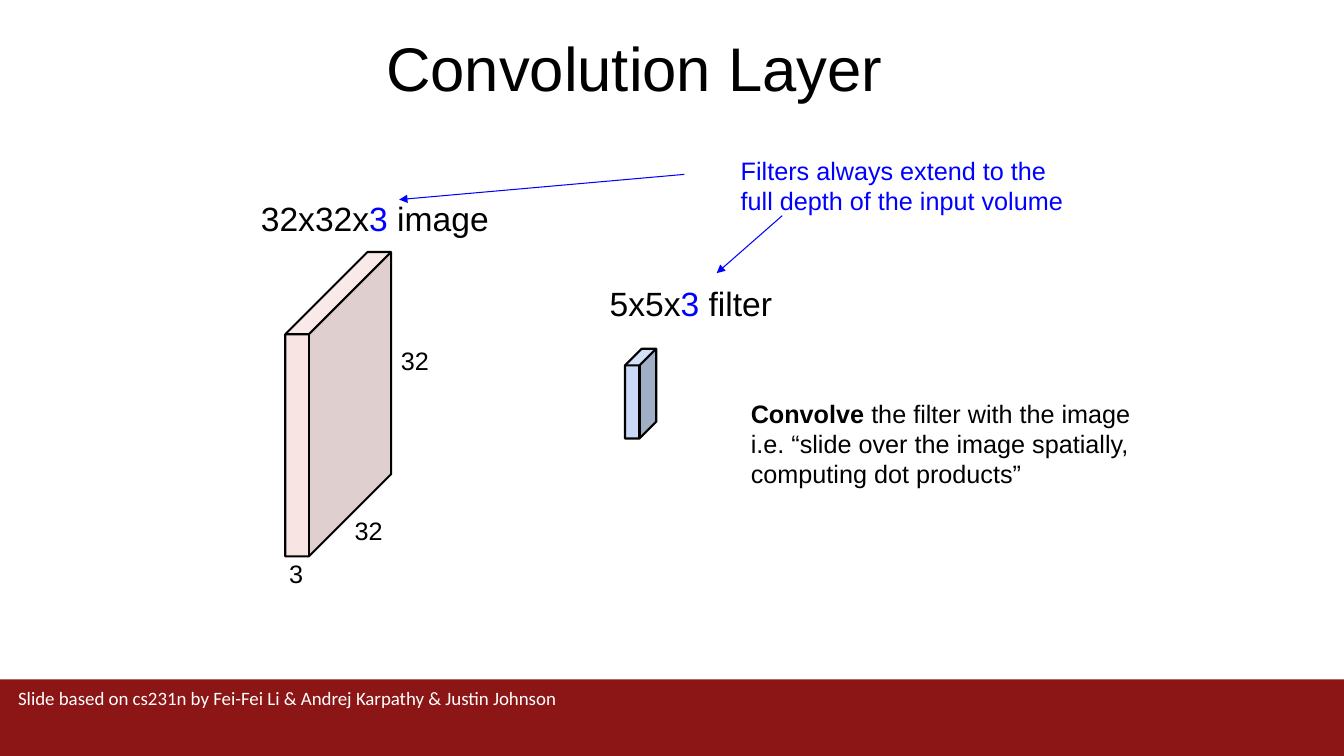
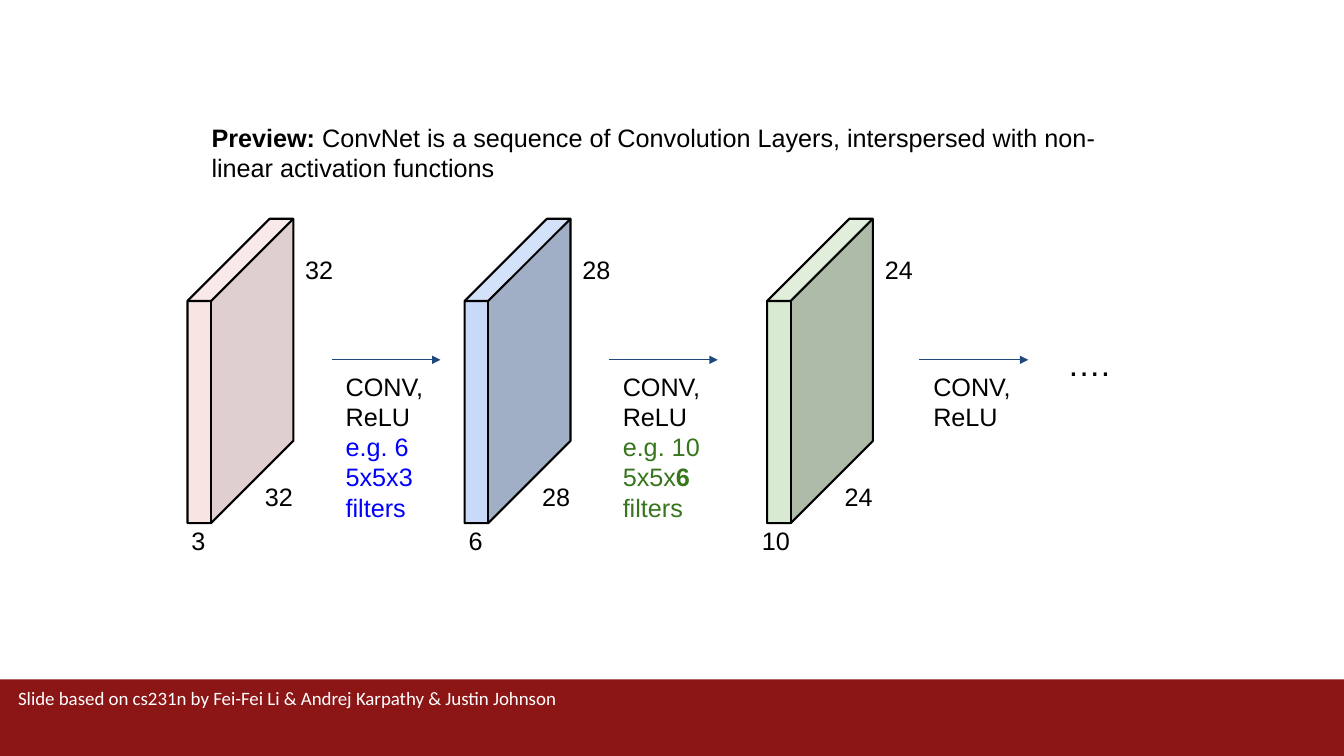
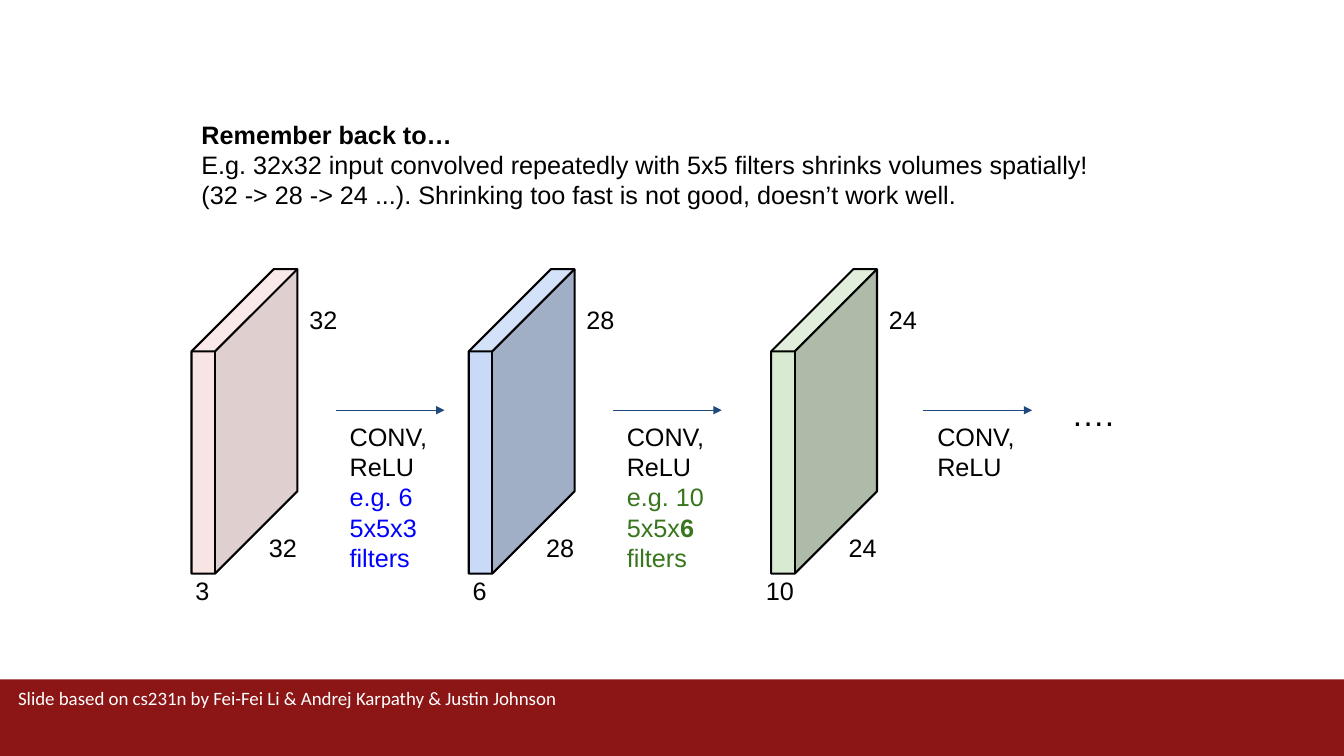
import dataclasses
import typing

import lxml.etree
import pptx
import pptx.dml.color
import pptx.enum.shapes
import pptx.enum.text
import pptx.oxml.ns
import pptx.presentation
import pptx.shapes.autoshape
import pptx.slide
import pptx.text.text
import pptx.util

RGBColor = pptx.dml.color.RGBColor
BLACK = RGBColor(0x00, 0x00, 0x00)
WHITE = RGBColor(0xFF, 0xFF, 0xFF)
CARDINAL = RGBColor(0x8C, 0x15, 0x15)
BLUE = RGBColor(0x00, 0x00, 0xFF)
NAVY = RGBColor(0x1F, 0x49, 0x7D)
GREEN = RGBColor(0x38, 0x76, 0x1D)
PINK_FACE = RGBColor(0xF4, 0xCC, 0xCC)
BLUE_FACE = RGBColor(0xC9, 0xDA, 0xF8)
GREEN_FACE = RGBColor(0xD9, 0xEA, 0xD3)

CELLS_PER_INCH = 10
SLIDE_COLUMNS = 133.33
SLIDE_ROWS = 75
TITLE_ONLY_LAYOUT = 5
BLANK_LAYOUT = 6
FOOTER = "Slide based on cs231n by Fei-Fei Li & Andrej Karpathy & Justin Johnson"


class Point(typing.NamedTuple):
    column: float
    row: float

    def moved(self, columns: float, rows: float) -> "Point":
        return Point(self.column + columns, self.row + rows)


class Run(typing.NamedTuple):
    text: str
    color: RGBColor = BLACK
    bold: bool = False


Paragraphs = list[list[Run]]


@dataclasses.dataclass(frozen=True)
class TextStyle:
    size: float = 18
    font: str = "Arial"
    inset: float = 1


@dataclasses.dataclass(frozen=True)
class Cube:
    fill: RGBColor
    columns: float = 10.5
    rows: float = 30.2
    slant: float = 0.777
    opacity: int = 100


@dataclasses.dataclass(frozen=True)
class Volume:
    cube: Cube
    side: str
    depth: str
    depth_shift: float = -0.6
    bottom_label: Point = Point(6.7, 25.1)
    right_label: Point = Point(10.7, 2.5)


@dataclasses.dataclass(frozen=True)
class Stage:
    volume: Volume
    offset: float
    arrow_gap: float
    filters: Paragraphs
    text_columns: float = 10.8


BODY = TextStyle()
LARGE = TextStyle(size=24)
TITLE = TextStyle(size=44, inset=0)
FOOTER_STYLE = TextStyle(size=13.5, font="Calibri", inset=0.7)

INPUT_CUBE = Cube(PINK_FACE, opacity=52)
FILTER_CUBE = Cube(BLUE_FACE, 3.1, 8.9, 0.534)
STAGES = [
    Stage(Volume(INPUT_CUBE, "32", "3"), 0, 14.3,
          [[Run("e.g. 6 5x5x3 filters", BLUE)]]),
    Stage(Volume(Cube(BLUE_FACE), "28", "6"), 27.5, 14.3,
          [[Run("e.g. 10 5x5x", GREEN), Run("6 ", GREEN, True),
            Run("filters", GREEN)]], 11.6),
    Stage(Volume(Cube(GREEN_FACE), "24", "10", -1.5), 57.5, 15.1, []),
]


def cells(count: float) -> int:
    return pptx.util.Inches(count / CELLS_PER_INCH)


def set_attributes(target: object, values: dict[str, typing.Any]) -> None:
    for name, value in values.items():
        setattr(target, name, value)


def write_text(frame: pptx.text.text.TextFrame, paragraphs: Paragraphs,
               style: TextStyle) -> None:
    inset = cells(style.inset)
    set_attributes(frame, {
        "auto_size": pptx.enum.text.MSO_AUTO_SIZE.NONE,
        "word_wrap": True,
        "vertical_anchor": pptx.enum.text.MSO_ANCHOR.TOP,
        "margin_left": inset,
        "margin_top": inset,
        "margin_right": inset,
        "margin_bottom": inset,
    })
    for index, runs in enumerate(paragraphs):
        paragraph = frame.add_paragraph() if index else frame.paragraphs[0]
        paragraph.alignment = pptx.enum.text.PP_ALIGN.LEFT
        for item in runs:
            run = paragraph.add_run()
            run.text = item.text
            set_attributes(run.font, {
                "name": style.font,
                "size": pptx.util.Pt(style.size),
                "bold": item.bold,
            })
            run.font.color.rgb = item.color


def add_text(slide: pptx.slide.Slide, position: Point, columns: float,
             rows: float, paragraphs: Paragraphs,
             style: TextStyle = BODY) -> pptx.shapes.autoshape.Shape:
    shape = slide.shapes.add_textbox(
        cells(position.column), cells(position.row), cells(columns), cells(rows))
    write_text(shape.text_frame, paragraphs, style)
    return shape


def add_arrow(slide: pptx.slide.Slide, start: Point, end: Point,
              color: RGBColor) -> None:
    connector = slide.shapes.add_connector(
        pptx.enum.shapes.MSO_CONNECTOR.STRAIGHT,
        cells(start.column), cells(start.row), cells(end.column), cells(end.row))
    connector.line.width = pptx.util.Pt(0.75)
    connector.line.color.rgb = color
    properties = connector.element.spPr
    qualified = pptx.oxml.ns.qn
    outline = properties.find(qualified("a:ln"))
    lxml.etree.SubElement(outline, qualified("a:tailEnd"), type="triangle")
    lxml.etree.SubElement(properties, qualified("a:effectLst"))


def add_cube(slide: pptx.slide.Slide, position: Point, cube: Cube) -> None:
    shape = slide.shapes.add_shape(
        pptx.enum.shapes.MSO_SHAPE.CUBE, cells(position.column),
        cells(position.row), cells(cube.columns), cells(cube.rows))
    shape.adjustments[0] = cube.slant
    shape.shadow.inherit = False
    shape.fill.solid()
    shape.fill.fore_color.rgb = cube.fill
    shape.line.color.rgb = BLACK
    shape.line.width = pptx.util.Pt(1.5)
    if cube.opacity < 100:
        qualified = pptx.oxml.ns.qn
        color = shape.element.spPr.find(
            qualified("a:solidFill")).find(qualified("a:srgbClr"))
        lxml.etree.SubElement(
            color, qualified("a:alpha"), val=str(cube.opacity * 1000))


def add_volume(slide: pptx.slide.Slide, position: Point, volume: Volume) -> None:
    add_cube(slide, position, volume.cube)
    labels = [
        (volume.side, volume.bottom_label),
        (volume.side, volume.right_label),
        (volume.depth, Point(volume.depth_shift, 29.4)),
    ]
    for label, shift in labels:
        add_text(slide, position.moved(*shift), 5.4, 3.4, [[Run(label)]])


def add_network(slide: pptx.slide.Slide, origin: Point) -> None:
    for stage in STAGES:
        position = origin.moved(stage.offset, 0)
        add_volume(slide, position, stage.volume)
        start = position.moved(stage.arrow_gap, 14)
        add_arrow(slide, start, start.moved(10.8, 0), NAVY)
        add_text(slide, start.moved(0.4, 0.1), stage.text_columns, 4.3,
                 [[Run("CONV,")], [Run("ReLU")], *stage.filters])
    add_text(slide, origin.moved(86.3, 11.3), 10.5, 3.9, [[Run("….")]], LARGE)


def add_master_footer(presentation: pptx.presentation.Presentation,
                      slide: pptx.slide.Slide) -> None:
    band = slide.shapes.add_shape(
        pptx.enum.shapes.MSO_SHAPE.RECTANGLE, 0, cells(67.4),
        cells(SLIDE_COLUMNS), cells(7.7))
    band.shadow.inherit = False
    band.fill.solid()
    band.fill.fore_color.rgb = CARDINAL
    band.line.fill.background()
    credit = add_text(slide, Point(1.1, 67.4), 130.6, 7.9,
                      [[Run(FOOTER, WHITE)]], FOOTER_STYLE)
    tree = presentation.slide_master.element.cSld.spTree
    for number, shape in enumerate((band, credit), start=20):
        shape.element.nvSpPr.cNvPr.set("id", str(number))
        tree.append(shape.element)


def fill_convolution_slide(slide: pptx.slide.Slide) -> None:
    title = slide.shapes.title
    set_attributes(title, {
        "left": cells(38.3), "top": cells(3),
        "width": cells(56.7), "height": cells(7.5),
    })
    write_text(title.text_frame, [[Run("Convolution Layer")]], TITLE)
    add_volume(slide, Point(28.3, 25), Volume(
        INPUT_CUBE, "32", "3",
        bottom_label=Point(5.9, 25.1), right_label=Point(10.5, 8.3)))
    add_cube(slide, Point(62, 34.6), FILTER_CUBE)
    add_text(slide, Point(59.5, 27.1), 23.1, 3.9,
             [[Run("5x5x"), Run("3", BLUE), Run(" filter")]], LARGE)
    add_text(slide, Point(24.9, 18.6), 36.6, 5.2,
             [[Run("32x32x"), Run("3", BLUE), Run(" image")]], LARGE)
    add_text(slide, Point(73.5, 38.5), 43.2, 8.3, [
        [Run("Convolve ", bold=True), Run("the filter with the image")],
        [Run("i.e. “slide over the image spatially, computing dot products”")],
    ])
    add_text(slide, Point(72.5, 14.4), 35.9, 6.4, [[Run(
        "Filters always extend to the full depth of the input volume", BLUE)]])
    add_arrow(slide, Point(77.6, 21.4), Point(71.1, 27.1), BLUE)
    add_arrow(slide, Point(67.9, 17.3), Point(39.6, 19.8), BLUE)


def fill_preview_slide(slide: pptx.slide.Slide) -> None:
    add_text(slide, Point(20, 11.1), 93.5, 10.8, [[
        Run("Preview: ", bold=True),
        Run("ConvNet is a sequence of Convolution Layers, interspersed with "
            "non-linear activation functions"),
    ]])
    add_network(slide, Point(18.6, 21.7))


def fill_shrinking_slide(slide: pptx.slide.Slide) -> None:
    add_text(slide, Point(19, 10.8), 93.5, 6.6, [
        [Run("Remember back to…", bold=True)],
        [Run("E.g. 32x32 input convolved repeatedly with 5x5 filters shrinks "
             "volumes spatially!")],
        [Run("(32 -> 28 -> 24 ...). Shrinking too fast is not good, "
             "doesn’t work well.")],
    ])
    add_network(slide, Point(19, 26.7))


def main() -> None:
    presentation = pptx.Presentation()
    set_attributes(presentation, {
        "slide_width": cells(SLIDE_COLUMNS),
        "slide_height": cells(SLIDE_ROWS),
    })
    plans = [
        (TITLE_ONLY_LAYOUT, fill_convolution_slide),
        (BLANK_LAYOUT, fill_preview_slide),
        (BLANK_LAYOUT, fill_shrinking_slide),
    ]
    for layout, fill_slide in plans:
        slide = presentation.slides.add_slide(presentation.slide_layouts[layout])
        fill_slide(slide)
    add_master_footer(presentation, presentation.slides[0])
    presentation.save("out.pptx")


if __name__ == "__main__":
    main()
